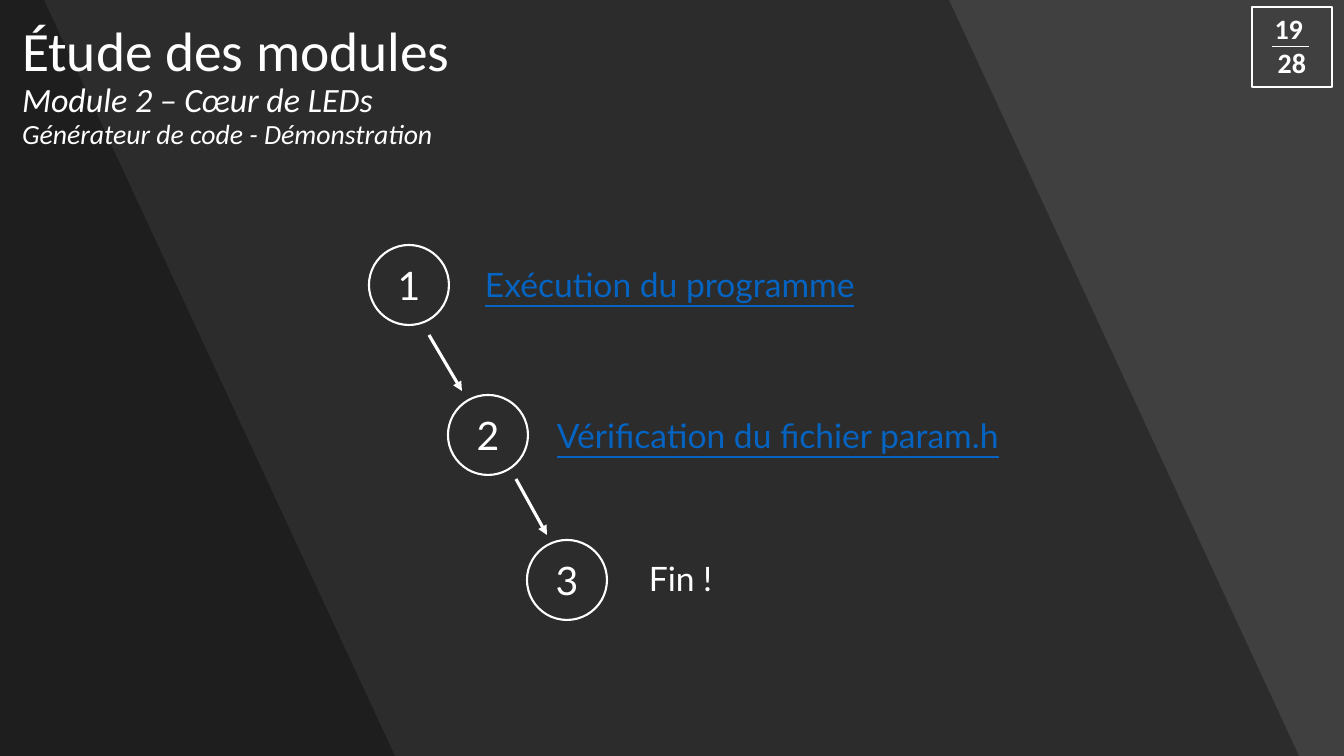
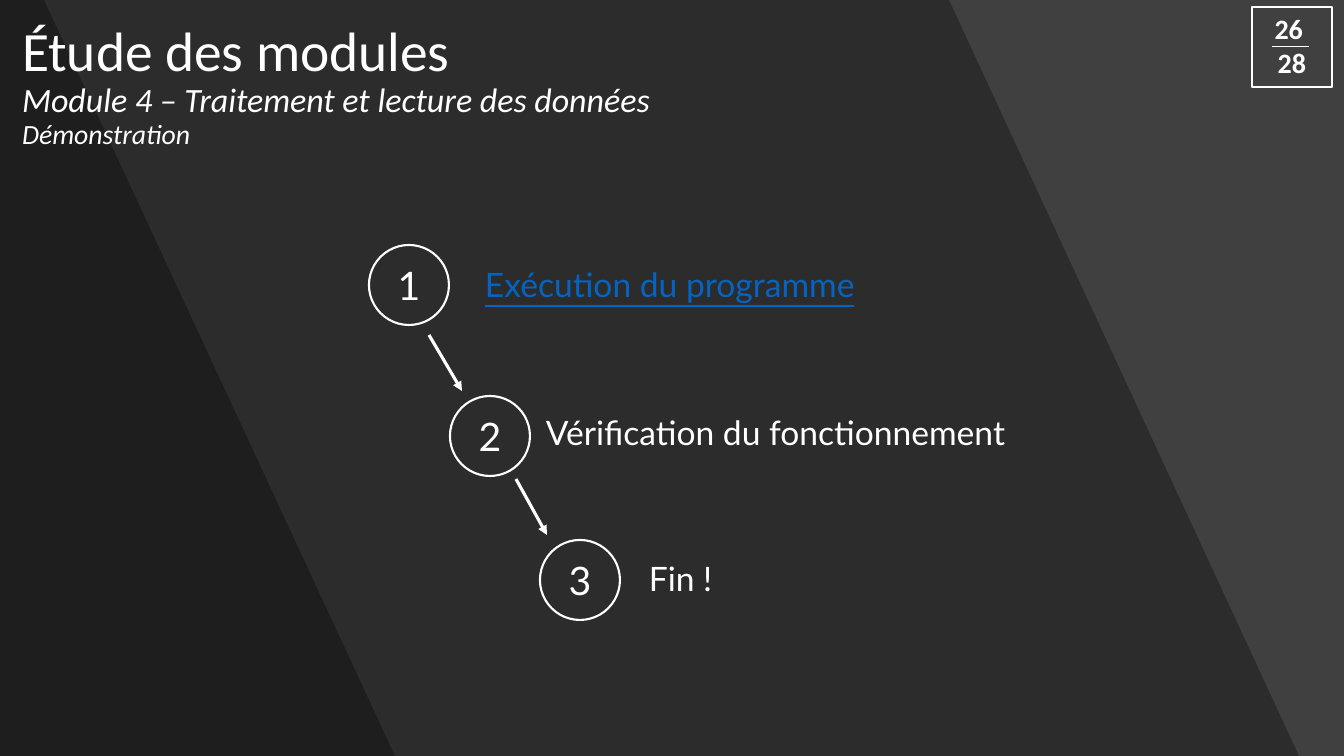
"""Build two demonstration slides with a shared dark banded design."""
import copy

import pptx
import pptx.dml.color
import pptx.enum.shapes
import pptx.enum.text
import pptx.oxml
import pptx.oxml.ns
import pptx.util

PX = 914400 / 100.8
WIDTH, HEIGHT = 1344, 756

WHITE = pptx.dml.color.RGBColor(0xFF, 0xFF, 0xFF)
BLACK = pptx.dml.color.RGBColor(0x00, 0x00, 0x00)
BACKGROUND = pptx.dml.color.RGBColor(0x40, 0x40, 0x40)
LINK_BLUE = pptx.dml.color.RGBColor(0x05, 0x63, 0xC1)

TITLE_FONT, STEP_FONT = "Calibri", "Lato"
BANDS = ((949, 1299), (44, 395))
BAND_ALPHA = 30
TITLE_BOX = (12, 14, 1160, 146)
TITLE_STYLES = ((39.6, False), (24.3, True), (19.8, True))
COUNTER_BOX = (1252, 7, 80, 80)
STEPS_ORIGIN = (369, 245)
CIRCLE = 80
LABEL_SIZE = (600, 50)
ARROWS = ((60, 90, 93, 146), (147, 234, 178, 290))
SLIDE_TOTAL = "28"

DEMONSTRATIONS = (
    {
        "title": ("Étude des modules", "Module 2 – Cœur de LEDs",
                  "Générateur de code - Démonstration"),
        "number": "19 ",
        "steps": (
            ("Exécution du programme", LINK_BLUE, (0, 0), (106, 14)),
            ("Vérification du fichier param.h", LINK_BLUE, (79, 150), (178, 165)),
            ("Fin !", WHITE, (158, 295), (270, 308)),
        ),
    },
    {
        "title": ("Étude des modules", "Module 4 – Traitement et lecture des données",
                  "Démonstration"),
        "number": "26 ",
        "steps": (
            ("Exécution du programme", LINK_BLUE, (0, 0), (106, 14)),
            ("Vérification du fonctionnement", WHITE, (81, 151), (167, 162)),
            ("Fin !", WHITE, (171, 295), (270, 308)),
        ),
    },
)


def emu(*lengths):
    """Turn px lengths into EMU."""
    return [pptx.util.Emu(round(length * PX)) for length in lengths]


def add_run(paragraph, text, font_name, size, color=WHITE, bold=False, italic=False):
    """Add one formatted run to a paragraph."""
    run = paragraph.add_run()
    run.text = text
    run.font.name = font_name
    run.font.size = pptx.util.Pt(size)
    run.font.color.rgb = color
    run.font.bold = bold
    run.font.italic = italic
    return run


def add_outline(slide, kind, box):
    """Add an unfilled shape with a white outline."""
    outline = slide.shapes.add_shape(kind, *emu(*box))
    outline.shadow.inherit = False
    outline.fill.background()
    outline.line.color.rgb = WHITE
    outline.line.width = pptx.util.Pt(1.5)
    return outline


def add_line(slide, ends, weight, arrow=False):
    """Add a white straight line, with an arrowhead at its end if asked."""
    line = slide.shapes.add_connector(
        pptx.enum.shapes.MSO_CONNECTOR.STRAIGHT, *emu(*ends))
    line.line.color.rgb = WHITE
    line.line.width = pptx.util.Pt(weight)
    properties = line._element.spPr
    if arrow:
        head = pptx.oxml.ns.qn("a:tailEnd")
        line.line._get_or_add_ln().append(
            properties.makeelement(head, {"type": "triangle"}))
    properties.append(properties.makeelement(pptx.oxml.ns.qn("a:effectLst"), {}))


def add_bands(slide):
    """Draw the translucent slanted bands over the background."""
    slide.background.fill.solid()
    slide.background.fill.fore_color.rgb = BACKGROUND
    for top, bottom in BANDS:
        builder = slide.shapes.build_freeform(0, 0, scale=PX)
        builder.add_line_segments([(top, 0), (bottom, HEIGHT), (0, HEIGHT)], close=True)
        band = builder.convert_to_shape()
        band.shadow.inherit = False
        band.line.fill.background()
        band.fill.solid()
        band.fill.fore_color.rgb = BLACK
        color = band._element.spPr.find(".//" + pptx.oxml.ns.qn("a:srgbClr"))
        color.append(color.makeelement(
            pptx.oxml.ns.qn("a:alpha"), {"val": str(BAND_ALPHA * 1000)}))


def add_title(slide, box, lines):
    """Fill the title placeholder with a heading and two subtitles."""
    title = slide.shapes.title
    slide.shapes._spTree.append(title._element)
    title.left, title.top, title.width, title.height = emu(*box)
    frame = title.text_frame
    frame.auto_size = pptx.enum.text.MSO_AUTO_SIZE.NONE
    frame.vertical_anchor = pptx.enum.text.MSO_ANCHOR.MIDDLE
    paragraph = frame.paragraphs[0]
    paragraph.alignment = pptx.enum.text.PP_ALIGN.LEFT
    paragraph.line_spacing = 0.9
    for index, (text, (size, italic)) in enumerate(zip(lines, TITLE_STYLES)):
        run = add_run(paragraph, text, TITLE_FONT, size, italic=italic)
        if index < len(lines) - 1:
            paragraph.add_line_break()
            paragraph._p[-1].append(copy.deepcopy(run._r.rPr))


def add_counter(slide, box, number):
    """Draw the framed slide number over the slide total."""
    left, top = box[:2]
    counter = add_outline(slide, pptx.enum.shapes.MSO_SHAPE.RECTANGLE, box)
    frame = counter.text_frame
    frame.vertical_anchor = pptx.enum.text.MSO_ANCHOR.TOP
    for paragraph, text in ((frame.paragraphs[0], number),
                            (frame.add_paragraph(), SLIDE_TOTAL)):
        paragraph.alignment = pptx.enum.text.PP_ALIGN.CENTER
        add_run(paragraph, text, TITLE_FONT, 20, bold=True)
    add_line(slide, (left + 20, top + 39, left + 57, top + 39), 0.5)


def add_step(slide, origin, number, step):
    """Draw one numbered circle and its label."""
    left, top = origin
    text, color, (circle_x, circle_y), (label_x, label_y) = step
    circle = add_outline(slide, pptx.enum.shapes.MSO_SHAPE.OVAL,
                         (left + circle_x, top + circle_y, CIRCLE, CIRCLE))
    circle.text_frame.vertical_anchor = pptx.enum.text.MSO_ANCHOR.MIDDLE
    digit = circle.text_frame.paragraphs[0]
    digit.alignment = pptx.enum.text.PP_ALIGN.CENTER
    add_run(digit, str(number), STEP_FONT, 28)
    label = slide.shapes.add_textbox(*emu(left + label_x, top + label_y, *LABEL_SIZE))
    label.text_frame.word_wrap = True
    run = add_run(label.text_frame.paragraphs[0], text, STEP_FONT, 24, color)
    run.font.underline = color == LINK_BLUE


def add_steps(slide, origin, steps):
    """Draw the descending steps and the arrows between them."""
    left, top = origin
    for number, step in enumerate(steps, 1):
        add_step(slide, origin, number, step)
    for x1, y1, x2, y2 in ARROWS:
        add_line(slide, (left + x1, top + y1, left + x2, top + y2), 2.25, arrow=True)


def add_demonstration(deck, title, number, steps):
    """Add one demonstration slide."""
    slide = deck.slides.add_slide(deck.slide_layouts[5])
    add_bands(slide)
    add_title(slide, TITLE_BOX, title)
    add_steps(slide, STEPS_ORIGIN, steps)
    add_counter(slide, COUNTER_BOX, number)


def main():
    """Build and save the deck."""
    deck = pptx.Presentation()
    deck.slide_width, deck.slide_height = emu(WIDTH, HEIGHT)
    for demonstration in DEMONSTRATIONS:
        add_demonstration(deck, **demonstration)
    deck.save("out.pptx")


if __name__ == "__main__":
    main()
